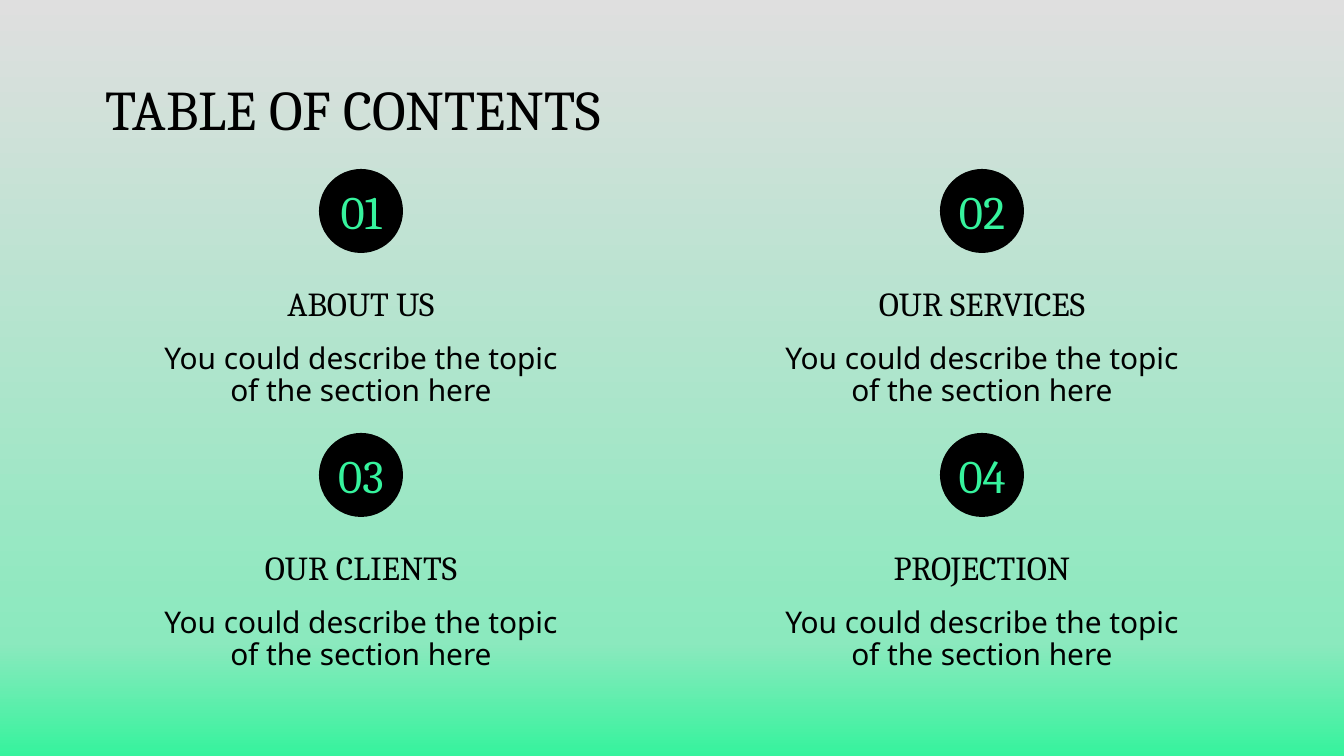
from copy import deepcopy

from pptx import Presentation
from pptx.dml.color import RGBColor
from pptx.enum.shapes import MSO_SHAPE
from pptx.enum.text import MSO_ANCHOR, MSO_AUTO_SIZE, PP_ALIGN
from pptx.util import Emu, Pt

SCALE = 914400 / 134.4  # EMU in one px
BLACK = RGBColor(0x00, 0x00, 0x00)
GREEN = RGBColor(0x36, 0xF3, 0x9D)
MINT = RGBColor(0x8B, 0xE9, 0xBE)
GREY = RGBColor(0xDF, 0xDF, 0xDF)
SERIF, SANS = "Cambria", "Noto Sans"

# Grid: centre of the first column, top of the first row, steps
MID, TOP = 361, 169
STEP_X, STEP_Y = 621, 264
DOT, WIDE = 84, 398

NOTE = "You could describe the topic of the section here"
TOPICS = ["ABOUT US", "OUR SERVICES", "OUR CLIENTS", "PROJECTION"]


def px(*vals):
    return [Emu(round(val * SCALE)) for val in vals]


def paint(slide):
    """Fill the background with a three-stop gradient from top to bottom."""
    fill = slide.background.fill
    fill.gradient()
    fill.gradient_angle = 270
    stops = slide.element.xpath(".//p:bg//a:gsLst")[0]
    stops.append(deepcopy(stops[-1]))
    marks = [(0, GREY), (0.85, MINT), (1, GREEN)]
    for stop, (place, color) in zip(fill.gradient_stops, marks):
        stop.position = place
        stop.color.rgb = color


def write(shape, text, size, font, color=BLACK, align=PP_ALIGN.CENTER):
    frame = shape.text_frame
    frame.text = text
    frame.word_wrap = True
    frame.auto_size = MSO_AUTO_SIZE.NONE
    frame.vertical_anchor = MSO_ANCHOR.MIDDLE
    frame.margin_left = frame.margin_right = 0
    frame.margin_top = frame.margin_bottom = 0
    para = frame.paragraphs[0]
    para.alignment = align
    for run in para.runs:
        run.font.size = Pt(size)
        run.font.name = font
        run.font.color.rgb = color
    return para


def add_title(slide, text):
    title = slide.shapes.title
    title.left, title.top, title.width, title.height = px(106, 66, 1133, 85)
    write(title, text, 30, SERIF, align=PP_ALIGN.LEFT)


def add_dot(slide, mid, top):
    box = px(mid - DOT / 2, top, DOT, DOT)
    dot = slide.shapes.add_shape(MSO_SHAPE.OVAL, *box)
    dot.shadow.inherit = False
    dot.fill.solid()
    dot.fill.fore_color.rgb = BLACK
    dot.line.fill.background()


def add_text(slide, mid, top, wide, high, *style):
    box = slide.shapes.add_textbox(*px(mid - wide / 2, top, wide, high))
    return write(box, *style)


def add_topic(slide, index, name):
    row, col = divmod(index, 2)
    mid, top = MID + col * STEP_X, TOP + row * STEP_Y
    add_dot(slide, mid, top)
    add_text(slide, mid, top + 12, 72, 60, f"{index + 1:02}", 25, SERIF, GREEN)
    add_text(slide, mid, top + 100, WIDE, 69, name, 18, SERIF)
    note = add_text(slide, mid, top + 169, WIDE, 75, NOTE, 16, SANS)
    note.line_spacing = 0.9


def main():
    deck = Presentation()
    deck.slide_width, deck.slide_height = px(1344, 756)
    slide = deck.slides.add_slide(deck.slide_layouts[5])  # title only

    # Background and title
    paint(slide)
    add_title(slide, "TABLE OF CONTENTS")

    # Four topics in two columns
    for index, name in enumerate(TOPICS):
        add_topic(slide, index, name)

    deck.save("out.pptx")


if __name__ == "__main__":
    main()
